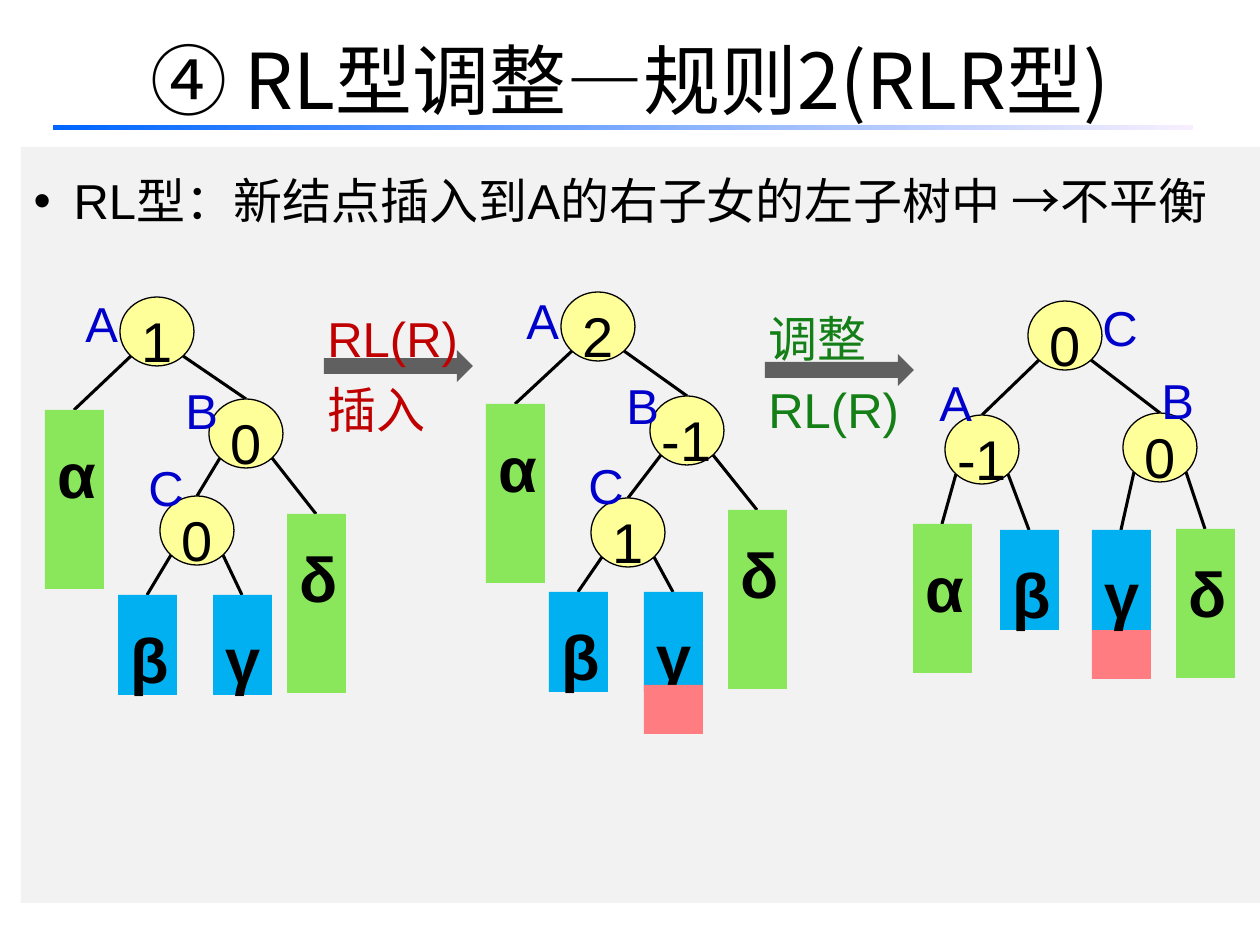
from dataclasses import dataclass
from typing import Optional, Union

from lxml.etree import SubElement
from pptx import Presentation
from pptx.dml.color import RGBColor
from pptx.enum.shapes import MSO_CONNECTOR as Connector, MSO_SHAPE as Preset
from pptx.enum.text import MSO_ANCHOR as Anchor, MSO_AUTO_SIZE as AutoSize, PP_ALIGN as Align
from pptx.oxml.ns import qn
from pptx.util import Emu, Pt


@dataclass(frozen=True)
class Theme:
    black: str = "000000"
    panel: str = "F2F2F2"
    rule_start: str = "0066FF"
    rule_end: str = "F7EFFF"
    node: str = "FFFF99"
    label: str = "0000CC"
    tall: str = "8AE75B"
    short: str = "00B0F0"
    inserted: str = "FF7C80"
    arrow: str = "606060"
    insert_text: str = "C00000"
    adjust_text: str = "137F16"
    title_font: str = "Noto Sans CJK SC"
    font: str = "Arial"
    title_size: int = 44
    subtree_size: int = 36
    node_size: int = 32
    text_size: int = 28


THEME = Theme()
EMU_PER_PX = 914400 / 126
NODE_WIDTH, NODE_HEIGHT = 74, 69
EDGE_INSET, EDGE_DROP = 11, 59
SUBTREE_WIDTH = 59
SHORT, MEDIUM, TALL = 100, 149, 179


@dataclass(frozen=True)
class Subtree:
    left: int
    top: int
    text: str
    height: int
    color: str = THEME.tall

    @property
    def head(self) -> tuple[int, int]:
        return self.left + SUBTREE_WIDTH // 2, self.top


@dataclass(frozen=True)
class Node:
    left: int
    top: int
    balance: str
    label: str
    label_left: int
    label_top: int
    left_child: Union["Node", Subtree]
    right_child: Union["Node", Subtree]

    @property
    def head(self) -> tuple[int, int]:
        return self.left + NODE_WIDTH // 2, self.top


@dataclass(frozen=True)
class Step:
    left: int
    arrow_top: int
    lines: tuple[str, str]
    color: str


def px(value: int) -> Emu:
    return Emu(round(value * EMU_PER_PX))


def rgb(color: str) -> RGBColor:
    return RGBColor.from_string(color)


def place(shape, left: int, top: int, width: int, height: int) -> None:
    shape.left, shape.top, shape.width, shape.height = map(px, (left, top, width, height))


def format_paragraph(paragraph, size: int, color: str, spacing: float,
                     font: str = THEME.font, bold: bool = False) -> None:
    paragraph.line_spacing = spacing
    paragraph.space_before = Pt(0)
    paragraph.font.name = font
    paragraph.font.size = Pt(size)
    paragraph.font.bold = bold
    paragraph.font.color.rgb = rgb(color)


def add_block(slide, preset: Preset, left: int, top: int, width: int, height: int,
              color: str, outlined: bool = False):
    shape = slide.shapes.add_shape(preset, *map(px, (left, top, width, height)))
    shape.shadow.inherit = False
    shape.fill.solid()
    shape.fill.fore_color.rgb = rgb(color)
    if outlined:
        shape.line.color.rgb = rgb(THEME.black)
        shape.line.width = Pt(0.75)
    else:
        shape.line.fill.background()
    return shape


def add_text(slide, left: int, top: int, width: int, height: int,
             lines: tuple[str, ...], color: str, spacing: float) -> None:
    frame = slide.shapes.add_textbox(*map(px, (left, top, width, height))).text_frame
    frame.word_wrap = False
    frame.auto_size = AutoSize.SHAPE_TO_FIT_TEXT
    frame.text = "\n".join(lines)
    for paragraph in frame.paragraphs:
        format_paragraph(paragraph, THEME.text_size, color, spacing)


def add_edge(slide, start: tuple[int, int], end: tuple[int, int]) -> None:
    edge = slide.shapes.add_connector(Connector.STRAIGHT, *map(px, start + end))
    edge.line.color.rgb = rgb(THEME.black)
    edge.line.width = Pt(1.75)
    SubElement(edge._element.spPr, qn("a:effectLst"))


def draw_subtree(slide, subtree: Subtree) -> None:
    shape = add_block(slide, Preset.RECTANGLE, subtree.left, subtree.top,
                      SUBTREE_WIDTH, subtree.height, subtree.color)
    if subtree.text:
        frame = shape.text_frame
        frame.vertical_anchor = Anchor.TOP
        frame.text = subtree.text
        paragraph = frame.paragraphs[0]
        paragraph.alignment = Align.LEFT
        format_paragraph(paragraph, THEME.subtree_size, THEME.black, 1.25, bold=True)


def draw_tree(slide, tree: Union[Node, Subtree]) -> None:
    if isinstance(tree, Subtree):
        draw_subtree(slide, tree)
        return
    base = tree.top + EDGE_DROP
    add_edge(slide, (tree.left + EDGE_INSET, base), tree.left_child.head)
    add_edge(slide, (tree.left + NODE_WIDTH - EDGE_INSET, base), tree.right_child.head)
    circle = add_block(slide, Preset.OVAL, tree.left, tree.top,
                       NODE_WIDTH, NODE_HEIGHT, THEME.node, outlined=True)
    frame = circle.text_frame
    frame.word_wrap = False
    frame.vertical_anchor = Anchor.MIDDLE
    frame.text = tree.balance
    frame.paragraphs[0].alignment = Align.CENTER
    format_paragraph(frame.paragraphs[0], THEME.node_size, THEME.black, 1.25)
    draw_tree(slide, tree.left_child)
    draw_tree(slide, tree.right_child)
    add_text(slide, tree.label_left, tree.label_top, 58, 79, (tree.label,), THEME.label, 1.25)


def draw_step(slide, step: Step) -> None:
    add_block(slide, Preset.RIGHT_ARROW, step.left + 9, step.arrow_top, 149, 32, THEME.arrow)
    add_text(slide, step.left, 291, 157, 155, step.lines, step.color, 1.2)


def draw_heading(slide) -> None:
    title = slide.shapes.title
    place(title, 63, 0, 1134, 157)
    title.text_frame.text = "④ RL型调整—规则2(RLR型)"
    title.text_frame.vertical_anchor = Anchor.MIDDLE
    paragraph = title.text_frame.paragraphs[0]
    paragraph.alignment = Align.CENTER
    format_paragraph(paragraph, THEME.title_size, THEME.black, 1.0, THEME.title_font)

    rule = add_block(slide, Preset.RECTANGLE, 53, 125, 1140, 5, THEME.rule_start)
    rule.fill.gradient()
    rule.fill.gradient_angle = 0
    for stop, color, position in zip(rule.fill.gradient_stops,
                                     (THEME.rule_start, THEME.rule_end), (0, 1)):
        stop.color.rgb = rgb(color)
        stop.position = position


def draw_body(slide) -> None:
    body = slide.placeholders[1]
    place(body, 21, 147, 1239, 756)
    body.fill.solid()
    body.fill.fore_color.rgb = rgb(THEME.panel)
    frame = body.text_frame
    frame.auto_size = AutoSize.NONE
    frame.text = "RL型：新结点插入到A的右子女的左子树中 →不平衡"
    paragraph = frame.paragraphs[0]
    paragraph.alignment = Align.JUSTIFY
    properties = paragraph._p.get_or_add_pPr()
    properties.set("marL", str(px(40)))
    properties.set("indent", str(-px(40)))
    SubElement(properties, qn("a:buChar")).set("char", "•")
    format_paragraph(paragraph, THEME.text_size, THEME.black, 1.3)


BEFORE = Node(120, 297, "1", "A", 73, 273, Subtree(45, 410, "α", TALL),
              Node(209, 399, "0", "B", 173, 360,
                   Node(160, 496, "0", "C", 136, 437,
                        Subtree(118, 595, "β", SHORT, THEME.short),
                        Subtree(213, 595, "γ", SHORT, THEME.short)),
                   Subtree(287, 514, "δ", TALL)))
UNBALANCED = Node(561, 292, "2", "A", 514, 270, Subtree(486, 404, "α", TALL),
                  Node(650, 396, "-1", "B", 614, 355,
                       Node(591, 498, "1", "C", 576, 435,
                            Subtree(549, 592, "β", SHORT, THEME.short),
                            Subtree(644, 592, "γ", SHORT, THEME.short)),
                       Subtree(728, 510, "δ", TALL)))
ADJUSTED = Node(1028, 301, "0", "C", 1090, 277,
                Node(945, 415, "-1", "A", 927, 352, Subtree(913, 524, "α", MEDIUM),
                     Subtree(1000, 530, "β", SHORT, THEME.short)),
                Node(1123, 413, "0", "B", 1149, 350,
                     Subtree(1092, 530, "γ", SHORT, THEME.short),
                     Subtree(1176, 529, "δ", MEDIUM)))
STEPS = (Step(315, 350, ("RL(R)", "插入"), THEME.insert_text),
         Step(756, 354, ("调整", "RL(R)"), THEME.adjust_text))


def main() -> None:
    presentation = Presentation()
    presentation.slide_width, presentation.slide_height = px(1260), px(945)
    slide = presentation.slides.add_slide(presentation.slide_layouts[1])
    draw_heading(slide)
    draw_body(slide)
    draw_tree(slide, BEFORE)
    draw_tree(slide, UNBALANCED)
    draw_subtree(slide, Subtree(644, 685, "", 49, THEME.inserted))
    draw_subtree(slide, Subtree(1092, 630, "", 49, THEME.inserted))
    draw_tree(slide, ADJUSTED)
    for step in STEPS:
        draw_step(slide, step)
    presentation.save("out.pptx")


if __name__ == "__main__":
    main()
